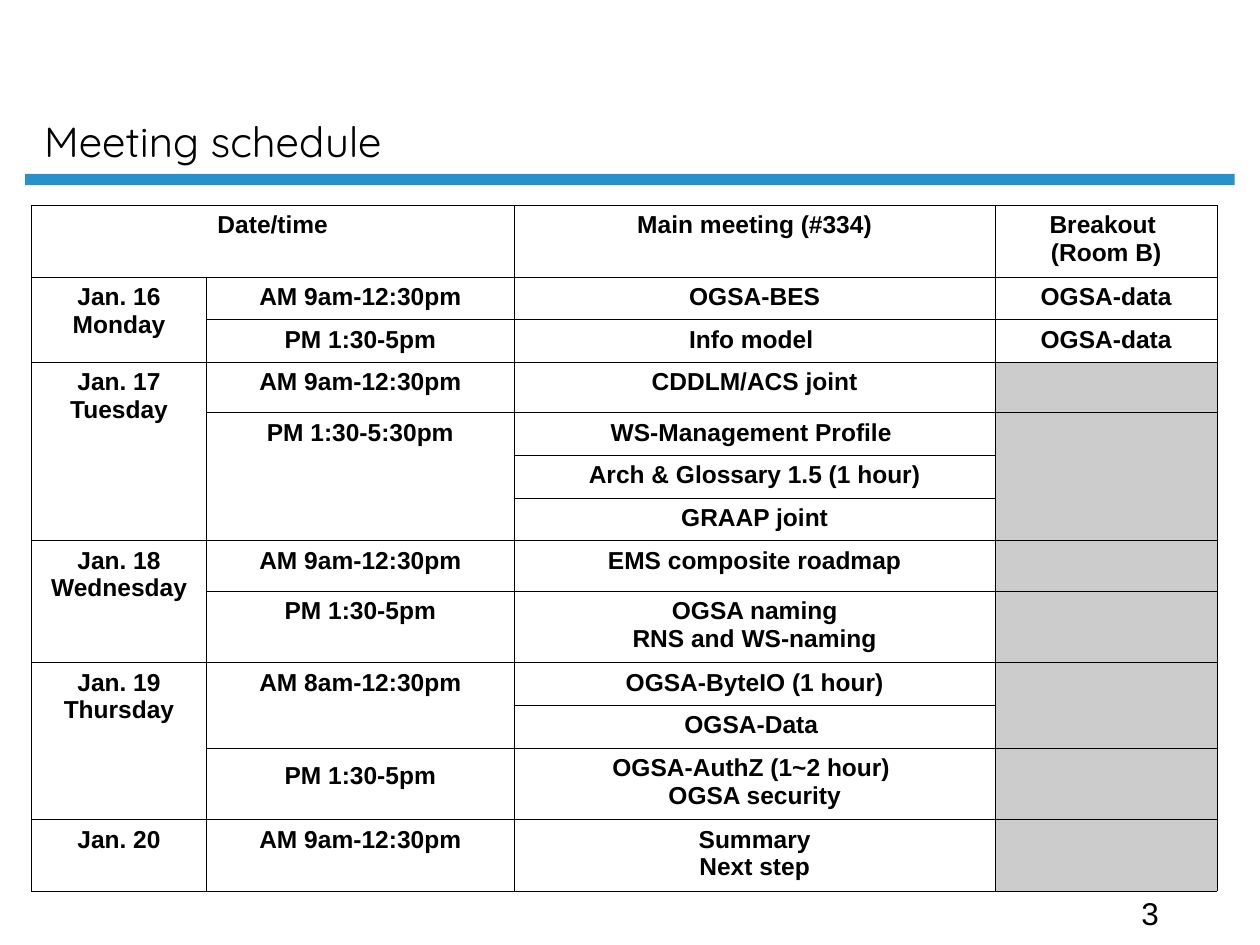
from pptx import Presentation
from pptx.dml.color import RGBColor
from pptx.enum.shapes import MSO_SHAPE
from pptx.enum.text import MSO_ANCHOR, PP_ALIGN
from pptx.oxml.ns import qn
from pptx.util import Inches, Pt
from lxml import etree

RECTANGLE = MSO_SHAPE.RECTANGLE
BOTTOM = MSO_ANCHOR.BOTTOM
LEFT, CENTER = PP_ALIGN.LEFT, PP_ALIGN.CENTER

BLACK = RGBColor(0x00, 0x00, 0x00)
BLUE = RGBColor(0x29, 0x90, 0xCA)
GRAY = RGBColor(0xCC, 0xCC, 0xCC)

SLIDE_WIDTH, SLIDE_HEIGHT = Inches(10), Inches(7.5)
GRID_UNIT = SLIDE_WIDTH / 100

TITLE_BOX = (2.5, 1.2, 85.6, 12.5)
RULE_BOX = (2, 13.8, 96, 0.9)
SCHEDULE_BOX = (2.5, 16.3, 94.1, 54)
NUMBER_BOX = (89.6, 70.5, 13.4, 4)

COLUMN_WEIGHTS = (13.9, 24.4, 38.2, 17.6)
SINGLE, EMPTY, DOUBLE = 3.4, 3.8, 5.7
BORDER_WIDTH = Pt(0.45)
MORNING, AFTERNOON = "AM 9am-12:30pm", "PM 1:30-5pm"

# None continues the cell above, or the cell to the left in the header
SCHEDULE = [
    (DOUBLE, "Date/time", None, "Main meeting (#334)", "Breakout \n(Room B)"),
    (SINGLE, "Jan. 16\nMonday", MORNING, "OGSA-BES", "OGSA-data"),
    (SINGLE, None, AFTERNOON, "Info model ", "OGSA-data"),
    (EMPTY, "Jan. 17\nTuesday", MORNING, "CDDLM/ACS joint", ""),
    (SINGLE, None, "PM 1:30-5:30pm", "WS-Management Profile ", ""),
    (SINGLE, None, None, "Arch & Glossary 1.5 (1 hour)", None),
    (SINGLE, None, None, "GRAAP joint", None),
    (EMPTY, "Jan. 18\nWednesday", MORNING, "EMS composite roadmap", ""),
    (DOUBLE, None, AFTERNOON, "OGSA naming\nRNS and WS-naming", ""),
    (SINGLE, "Jan. 19\nThursday", "AM 8am-12:30pm", "OGSA-ByteIO (1 hour)", ""),
    (SINGLE, None, None, "OGSA-Data ", None),
    (DOUBLE, None, AFTERNOON, "OGSA-AuthZ (1~2 hour) \nOGSA security", ""),
    (DOUBLE, "Jan. 20", MORNING, "Summary\nNext step", ""),
]
LOWERED_CELL = (11, 1)


def on_grid(box):
    return [round(length * GRID_UNIT) for length in box]


def shares(weights, total):
    return [round(total * weight / sum(weights)) for weight in weights]


def format_text(frame, font_name, size, align, bold=False):
    for paragraph in frame.paragraphs:
        paragraph.alignment = align
        for run in paragraph.runs:
            run.font.name = font_name
            run.font.size = Pt(size)
            run.font.bold = bold
            run.font.color.rgb = BLACK


def add_title(slide, box):
    title = slide.shapes.title
    title.left, title.top, title.width, title.height = on_grid(box)
    title.text_frame.text = "Meeting schedule"
    title.text_frame.vertical_anchor = BOTTOM
    format_text(title.text_frame, "Quicksand", 24, LEFT)


def add_rule(slide, box):
    rule = slide.shapes.add_shape(RECTANGLE, *on_grid(box))
    rule.shadow.inherit = False
    rule.fill.solid()
    rule.fill.fore_color.rgb = BLUE
    rule.line.fill.background()


def add_borders(cell):
    properties = cell._tc.get_or_add_tcPr()
    for position, side in enumerate(("a:lnL", "a:lnR", "a:lnT", "a:lnB")):
        border = etree.Element(qn(side), w=str(BORDER_WIDTH))
        fill = etree.SubElement(border, qn("a:solidFill"))
        etree.SubElement(fill, qn("a:srgbClr"), val=str(BLACK))
        properties.insert(position, border)


def merge_continued(table):
    table.cell(0, 0).merge(table.cell(0, 1))
    for column in range(len(COLUMN_WEIGHTS)):
        start = 1
        for row in range(2, len(SCHEDULE) + 1):
            if row < len(SCHEDULE) and SCHEDULE[row][column + 1] is None:
                continue
            if row - start > 1:
                table.cell(start, column).merge(table.cell(row - 1, column))
            start = row


def add_schedule(slide, box):
    left, top, width, height = on_grid(box)
    frame = slide.shapes.add_table(
        len(SCHEDULE), len(COLUMN_WEIGHTS), left, top, width, height)
    table = frame.table
    table.first_row = table.horz_banding = False
    for column, column_width in zip(table.columns, shares(COLUMN_WEIGHTS, width)):
        column.width = column_width
    row_weights = [entry[0] for entry in SCHEDULE]
    for row, row_height in zip(table.rows, shares(row_weights, height)):
        row.height = row_height
    for row, (_, *texts) in enumerate(SCHEDULE):
        for column, text in enumerate(texts):
            cell = table.cell(row, column)
            if text:
                cell.text_frame.text = text
                format_text(cell.text_frame, "Arial", 14, CENTER, bold=True)
            if text == "":
                cell.fill.solid()
                cell.fill.fore_color.rgb = GRAY
            else:
                cell.fill.background()
            add_borders(cell)
    table.cell(*LOWERED_CELL).margin_top = Inches(0.11)
    merge_continued(table)


def add_slide_number(slide, box):
    number = slide.shapes.add_textbox(*on_grid(box))
    number.text_frame.word_wrap = True
    number.text_frame.text = "3"
    format_text(number.text_frame, "Arial", 18, LEFT)


def main():
    presentation = Presentation()
    presentation.slide_width, presentation.slide_height = SLIDE_WIDTH, SLIDE_HEIGHT
    slide = presentation.slides.add_slide(presentation.slide_layouts[5])
    add_rule(slide, RULE_BOX)
    add_slide_number(slide, NUMBER_BOX)
    add_title(slide, TITLE_BOX)
    add_schedule(slide, SCHEDULE_BOX)
    presentation.save("out.pptx")


if __name__ == "__main__":
    main()
